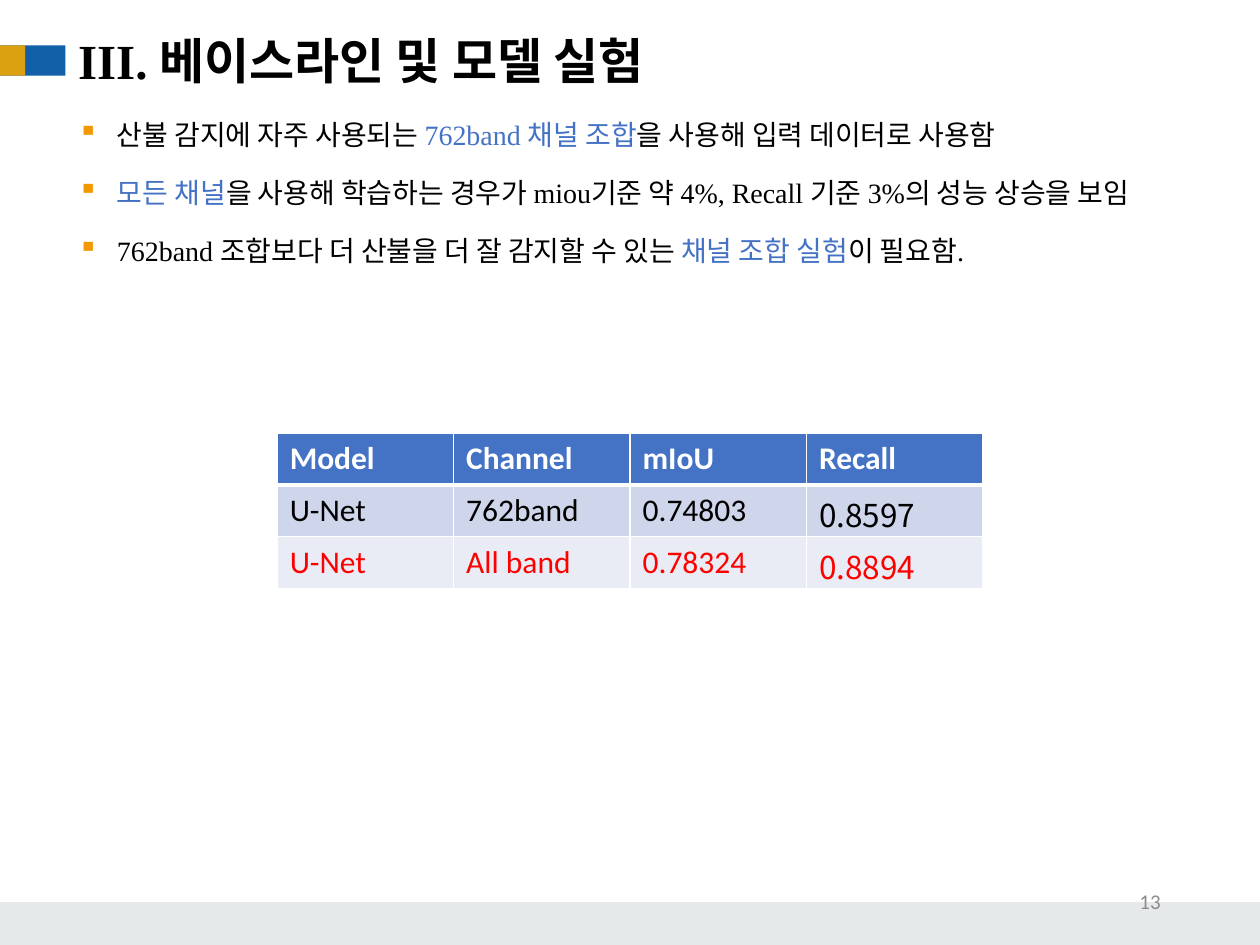
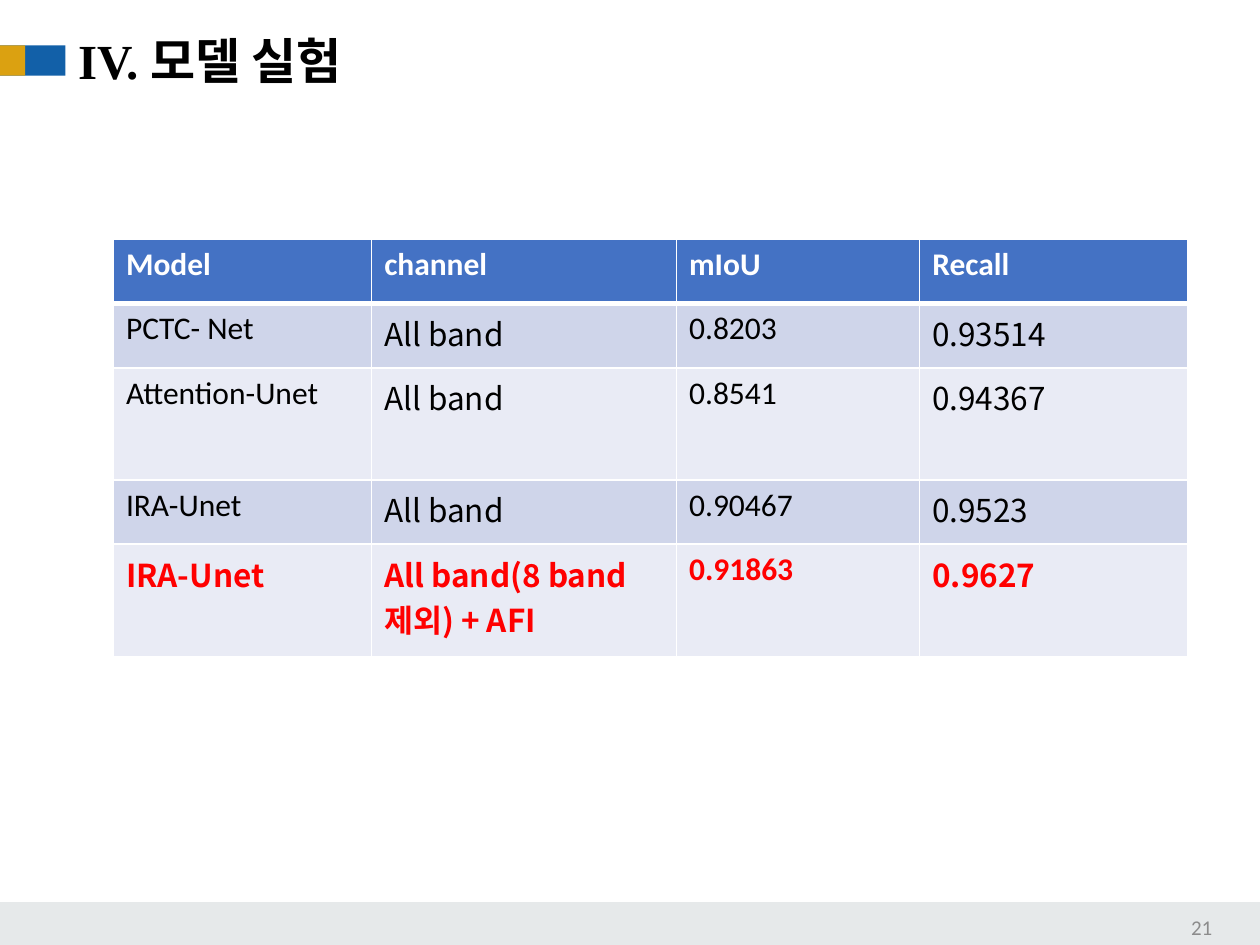
from dataclasses import dataclass

from lxml import etree
from pptx import Presentation
from pptx.dml.color import RGBColor
from pptx.enum.shapes import MSO_SHAPE
from pptx.enum.text import MSO_ANCHOR, MSO_AUTO_SIZE, PP_ALIGN
from pptx.oxml.ns import qn
from pptx.util import Inches, Pt

RECTANGLE = MSO_SHAPE.RECTANGLE
TOP, MIDDLE = MSO_ANCHOR.TOP, MSO_ANCHOR.MIDDLE
LEFT, RIGHT = PP_ALIGN.LEFT, PP_ALIGN.RIGHT
NO_AUTOFIT = MSO_AUTO_SIZE.NONE
TITLE_ONLY = 5


@dataclass(frozen=True)
class Theme:
    black: str = "000000"
    white: str = "FFFFFF"
    accent: str = "4472C4"
    highlight: str = "FF0000"
    band_rows: tuple = ("CFD5EA", "E9EBF5")
    marker_blue: str = "1260A8"
    marker_gold: str = "DBA111"
    bullet: str = "F39800"
    footer: str = "A7B1B7"
    footer_opacity: int = 28
    page_number: str = "8C8C8C"
    serif: str = "Times New Roman"
    sans: str = "Calibri"
    korean: str = "Noto Sans CJK KR"
    title_size: int = 28
    table_size: int = 18
    body_size: int = 16
    number_size: int = 12


THEME = Theme()


@dataclass(frozen=True)
class Area:
    left: float
    top: float
    width: float
    height: float

    def lengths(self) -> tuple:
        return tuple(Inches(v) for v in (self.left, self.top, self.width, self.height))


@dataclass(frozen=True)
class Block:
    area: Area
    color: str
    opacity: int = 100


@dataclass(frozen=True)
class Span:
    text: str
    color: str = THEME.black


@dataclass(frozen=True)
class ResultTable:
    left: float
    top: float
    columns: tuple
    heights: tuple
    rows: tuple
    korean_cells: frozenset  # (row, column) pairs set in the Korean font
    bold_best: bool = False


@dataclass(frozen=True)
class Page:
    title: str
    title_width: float
    number: str
    number_area: Area
    table: ResultTable
    bullets: tuple = ()


FRAME_BLOCKS = (
    Block(Area(0, 7.16, 10, 0.34), THEME.footer, THEME.footer_opacity),
    Block(Area(0, 0.36, 0.52, 0.24), THEME.marker_blue),
    Block(Area(0, 0.36, 0.2, 0.24), THEME.marker_gold),
)
BULLET_AREA = Area(0.2, 0.83, 9.48, 1.32)

PAGES = (
    Page(
        "III. 베이스라인 및 모델 실험", 5.08, "13", Area(7.06, 6.95, 2.25, 0.4),
        ResultTable(
            2.2, 3.44, (1.4,) * 4, (0.41,) * 3,
            (
                ("Model", "Channel", "mIoU", "Recall"),
                ("U-Net", "762band", "0.74803", "0.8597"),
                ("U-Net", "All band", "0.78324", "0.8894"),
            ),
            frozenset({(1, 3), (2, 3)}),
        ),
        (
            (
                Span("산불 감지에 자주 사용되는 "),
                Span("762band 채널 조합", THEME.accent),
                Span("을 사용해 입력 데이터로 사용함"),
            ),
            (
                Span("모든 채널", THEME.accent),
                Span("을 사용해 학습하는 경우가 miou기준 약 4%, Recall 기준 3%의 성능 상승을 보임"),
            ),
            (
                Span("762band 조합보다 더 산불을 더 잘 감지할 수 있는 "),
                Span("채널 조합 실험", THEME.accent),
                Span("이 필요함."),
            ),
        ),
    ),
    Page(
        "IV. 모델 실험", 3.11, "21", Area(7.47, 7.16, 2.25, 0.4),
        ResultTable(
            0.9, 1.9, (2.05, 2.42, 1.93, 2.13), (0.51, 0.51, 0.89, 0.51, 0.89),
            (
                ("Model", "channel", "mIoU", "Recall"),
                ("PCTC- Net", "All band", "0.8203", "0.93514"),
                ("Attention-Unet", "All band", "0.8541", "0.94367"),
                ("IRA-Unet", "All band", "0.90467", "0.9523"),
                ("IRA-Unet", "All band(8 band 제외) + AFI", "0.91863", "0.9627"),
            ),
            frozenset({(r, c) for r in range(1, 5) for c in (1, 3)} | {(4, 0)}),
            bold_best=True,
        ),
    ),
)


def add_span(para, text: str, color: str, **formats) -> None:
    span = para.add_run()
    span.text = text
    for name, value in formats.items():
        setattr(span.font, name, value)
    span.font.color.rgb = RGBColor.from_string(color)
    east_asian = etree.Element(qn("a:ea"), typeface=THEME.korean)
    span.font._element.find(qn("a:latin")).addnext(east_asian)


def add_solid_fill(parent, color: str) -> None:
    fill = etree.SubElement(parent, qn("a:solidFill"))
    etree.SubElement(fill, qn("a:srgbClr"), val=color)


def add_block(shapes, block: Block) -> None:
    shape = shapes.add_shape(RECTANGLE, *block.area.lengths())
    shape.shadow.inherit = False
    shape.line.fill.background()
    shape.fill.solid()
    shape.fill.fore_color.rgb = RGBColor.from_string(block.color)
    if block.opacity < 100:
        color = shape._element.spPr.find(f".//{qn('a:srgbClr')}")
        etree.SubElement(color, qn("a:alpha"), val=str(block.opacity * 1000))


def set_title(slide, page: Page) -> None:
    title = slide.shapes.title
    title.left, title.top, title.width, title.height = Area(
        0.52, 0.19, page.title_width, 1.04).lengths()
    frame_formats = {"word_wrap": False, "auto_size": NO_AUTOFIT, "vertical_anchor": TOP}
    for name, value in frame_formats.items():
        setattr(title.text_frame, name, value)
    para = title.text_frame.paragraphs[0]
    para.alignment = LEFT
    add_span(para, page.title, THEME.black,
             size=Pt(THEME.title_size), name=THEME.serif, bold=True)


def add_page_number(slide, page: Page) -> None:
    frame = slide.shapes.add_textbox(*page.number_area.lengths()).text_frame
    frame.word_wrap = True
    frame.vertical_anchor = MIDDLE
    para = frame.paragraphs[0]
    para.alignment = RIGHT
    add_span(para, page.number, THEME.page_number,
             size=Pt(THEME.number_size), name=THEME.sans)


def add_bullets(slide, bullets: tuple) -> None:
    frame = slide.shapes.add_textbox(*BULLET_AREA.lengths()).text_frame
    frame.word_wrap = True
    for index, spans in enumerate(bullets):
        para = frame.add_paragraph() if index else frame.paragraphs[0]
        for name, value in {"line_spacing": 1.2, "space_after": Pt(10)}.items():
            setattr(para, name, value)
        properties = para._p.get_or_add_pPr()
        properties.set("marL", str(Inches(0.63)))
        properties.set("indent", str(Inches(-0.31)))
        color = etree.SubElement(properties, qn("a:buClr"))
        etree.SubElement(color, qn("a:srgbClr"), val=THEME.bullet)
        etree.SubElement(properties, qn("a:buChar"), char="▪")
        for span in spans:
            add_span(para, span.text, span.color,
                     size=Pt(THEME.body_size), name=THEME.serif)


def set_borders(cell, row: int) -> None:
    """White rules, thicker between the header and the first result."""
    widths = {"lnL": 1, "lnR": 1, "lnT": 3 if row == 1 else 1, "lnB": 3 if row == 0 else 1}
    properties = cell._tc.get_or_add_tcPr()
    for position, (side, width) in enumerate(widths.items()):
        line = etree.Element(qn(f"a:{side}"), w=str(Pt(width)))
        add_solid_fill(line, THEME.white)
        properties.insert(position, line)


def add_results(slide, results: ResultTable) -> None:
    area = Area(results.left, results.top, sum(results.columns), sum(results.heights))
    last = len(results.rows) - 1
    table = slide.shapes.add_table(
        len(results.rows), len(results.columns), *area.lengths()).table
    for column, width in zip(table.columns, results.columns):
        column.width = Inches(width)
    for row, height in zip(table.rows, results.heights):
        row.height = Inches(height)
    for r, texts in enumerate(results.rows):
        text_color = {0: THEME.white, last: THEME.highlight}.get(r, THEME.black)
        fill_color = THEME.band_rows[(r - 1) % 2] if r else THEME.accent
        bold = r == 0 or (r == last and results.bold_best)
        for c, text in enumerate(texts):
            cell = table.cell(r, c)
            cell.margin_bottom = 0
            cell.fill.solid()
            cell.fill.fore_color.rgb = RGBColor.from_string(fill_color)
            set_borders(cell, r)
            font = THEME.korean if (r, c) in results.korean_cells else THEME.sans
            add_span(cell.text_frame.paragraphs[0], text, text_color,
                     size=Pt(THEME.table_size), name=font, bold=bold)


def add_page(deck, page: Page) -> None:
    slide = deck.slides.add_slide(deck.slide_layouts[TITLE_ONLY])
    for block in FRAME_BLOCKS:
        add_block(slide.shapes, block)
    add_page_number(slide, page)
    set_title(slide, page)
    if page.bullets:
        add_bullets(slide, page.bullets)
    add_results(slide, page.table)


def main() -> None:
    deck = Presentation()
    deck.slide_width, deck.slide_height = Inches(10), Inches(7.5)
    for page in PAGES:
        add_page(deck, page)
    deck.save("out.pptx")


if __name__ == "__main__":
    main()
